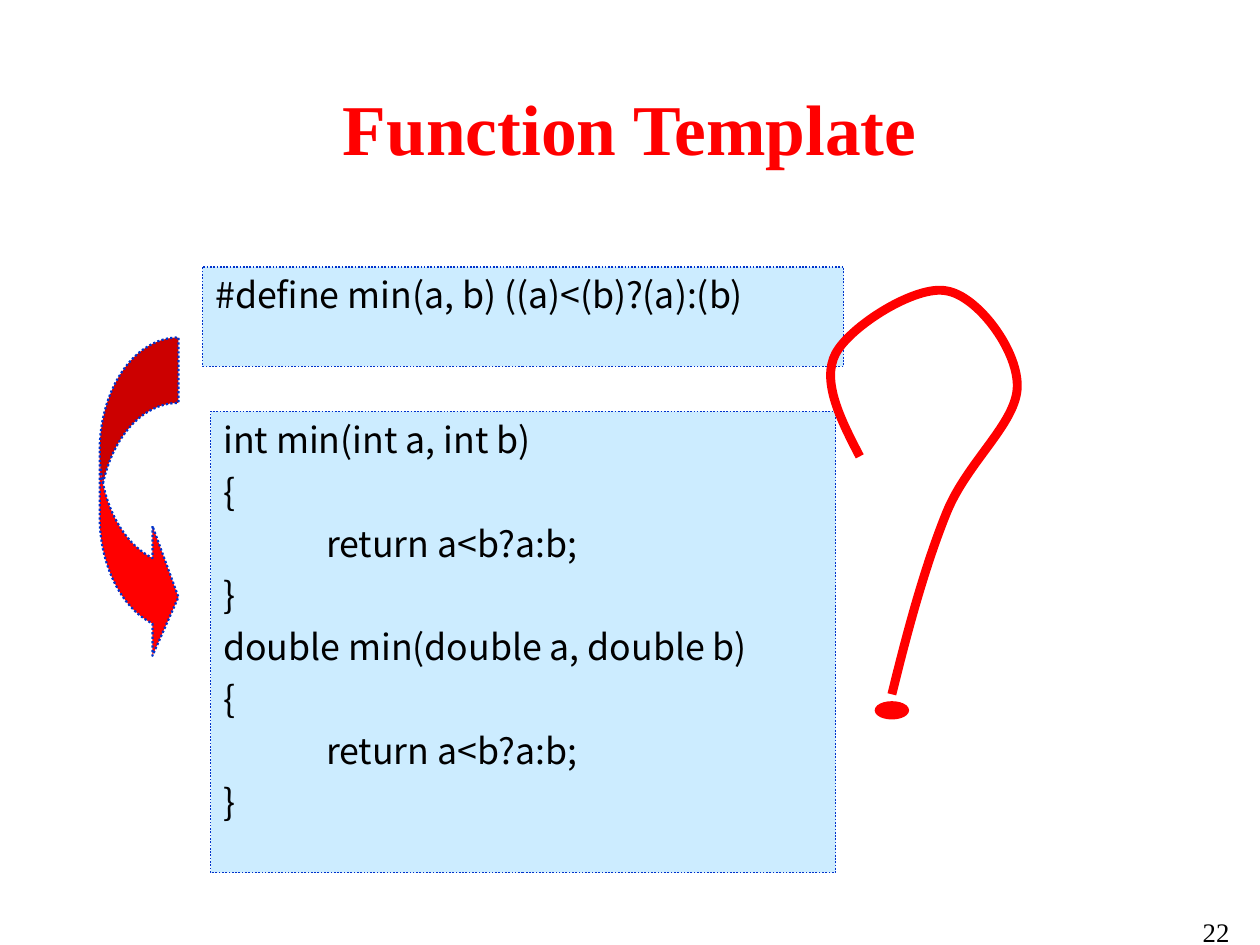
from lxml import etree
from pptx import Presentation
from pptx.dml.color import RGBColor
from pptx.enum.dml import MSO_LINE
from pptx.enum.shapes import MSO_SHAPE
from pptx.enum.text import MSO_ANCHOR, PP_ALIGN
from pptx.oxml.ns import qn
from pptx.util import Inches, Pt

RED = RGBColor(0xFF, 0x00, 0x00)
BLUE = RGBColor(0x00, 0x33, 0xCC)
PALE_BLUE = RGBColor(0xCC, 0xEC, 0xFF)
BLACK = RGBColor(0x00, 0x00, 0x00)

RECTANGLE = MSO_SHAPE.RECTANGLE
OVAL = MSO_SHAPE.OVAL
CURVED_ARROW = MSO_SHAPE.CURVED_RIGHT_ARROW
DOTTED = MSO_LINE.ROUND_DOT
TOP, MIDDLE = MSO_ANCHOR.TOP, MSO_ANCHOR.MIDDLE
LEFT, CENTER, RIGHT = PP_ALIGN.LEFT, PP_ALIGN.CENTER, PP_ALIGN.RIGHT

TITLE_FONT = {"name": "Times New Roman", "size": Pt(32), "bold": True}
NUMBER_FONT = {"name": "Times New Roman", "size": Pt(12)}
CODE_FONT = {"name": "Noto Sans CJK KR", "size": Pt(16)}
CODE_TAB = Inches(0.64)

MACRO_CODE = ["#define min(a, b) ((a)<(b)?(a):(b)"]
FUNCTION_CODE = [
    line
    for kind in ("int", "double")
    for line in (f"{kind} min({kind} a, {kind} b)", "{", "\treturn a<b?a:b;", "}")
]

# Start point, then two control points and an end point for each curve
QUESTION_MARK = [
    (5.35, 2.84),
    (5.23, 2.61), (5.11, 2.37), (5.2, 2.2),
    (5.29, 2.03), (5.7, 1.77), (5.89, 1.81),
    (6.08, 1.84), (6.33, 2.17), (6.33, 2.4),
    (6.33, 2.63), (6.02, 2.87), (5.89, 3.19),
    (5.76, 3.51), (5.65, 3.91), (5.55, 4.32),
]


def set_attributes(target, values):
    for name, value in values.items():
        setattr(target, name, value)


def set_font(paragraph, font, color):
    set_attributes(paragraph.font, font)
    paragraph.font.color.rgb = color


def set_frame(frame, anchor):
    set_attributes(frame, {
        "word_wrap": True, "vertical_anchor": anchor,
        "margin_left": Inches(0.08), "margin_right": Inches(0.08),
        "margin_top": Inches(0.04), "margin_bottom": Inches(0.04),
    })


def add_label(slide, box, text, font, color, alignment, anchor):
    frame = slide.shapes.add_textbox(*map(Inches, box)).text_frame
    set_frame(frame, anchor)
    paragraph = frame.paragraphs[0]
    paragraph.text = text
    paragraph.alignment = alignment
    set_font(paragraph, font, color)


def add_filled_shape(slide, kind, box, fill, line, width):
    shape = slide.shapes.add_shape(kind, *map(Inches, box))
    shape.shadow.inherit = False
    shape.fill.solid()
    shape.fill.fore_color.rgb = fill
    shape.line.color.rgb = line
    shape.line.width = Pt(width)
    return shape


def add_tab_stop(paragraph, position):
    tabs = etree.SubElement(paragraph._p.get_or_add_pPr(), qn("a:tabLst"))
    etree.SubElement(tabs, qn("a:tab"), pos=str(position), algn="l")


def add_code_box(slide, box, lines):
    shape = add_filled_shape(slide, RECTANGLE, box, PALE_BLUE, BLUE, 0.75)
    shape.line.dash_style = DOTTED
    frame = shape.text_frame
    set_frame(frame, TOP)
    for index, line in enumerate(lines):
        paragraph = frame.add_paragraph() if index else frame.paragraphs[0]
        paragraph.text = line
        add_tab_stop(paragraph, CODE_TAB)
        paragraph.alignment = LEFT
        if index:
            paragraph.space_before = Pt(4)
        set_font(paragraph, CODE_FONT, BLACK)


def add_curve(slide, points, color, width):
    start, *others = [(Inches(x), Inches(y)) for x, y in points]
    builder = slide.shapes.build_freeform(*start)
    builder.add_line_segments(others, close=False)
    shape = builder.convert_to_shape()
    # Join each three straight segments into one Bezier curve
    segments = list(shape._element.iter(qn("a:lnTo")))
    for first in range(0, len(segments), 3):
        group = segments[first:first + 3]
        curve = etree.Element(qn("a:cubicBezTo"))
        group[0].addprevious(curve)
        for segment in group:
            curve.append(segment[0])
            segment.getparent().remove(segment)
    shape.shadow.inherit = False
    shape.fill.background()
    shape.line.color.rgb = color
    shape.line.width = Pt(width)


def main():
    presentation = Presentation()
    presentation.slide_width = Inches(7.84)
    presentation.slide_height = Inches(5.88)
    slide = presentation.slides.add_slide(presentation.slide_layouts[6])

    # Page number and title
    add_label(slide, (5.77, 5.66, 1.96, 0.41), "22", NUMBER_FONT, BLACK, RIGHT, TOP)
    add_label(slide, (0.26, 0.48, 7.32, 0.62), "Function Template",
              TITLE_FONT, RED, CENTER, MIDDLE)

    # Macro and the functions that replace it
    add_code_box(slide, (1.26, 1.66, 3.99, 0.62), MACRO_CODE)
    add_code_box(slide, (1.31, 2.56, 3.89, 2.87), FUNCTION_CODE)

    # Arrow from macro to functions
    arrow = add_filled_shape(slide, CURVED_ARROW, (0.62, 2.1, 0.49, 2.02), RED, BLUE, 1)
    arrow.line.dash_style = DOTTED
    for index, value in enumerate((0.83, 1.65, 0.33)):
        arrow.adjustments[index] = value

    # Question mark
    add_curve(slide, QUESTION_MARK, RED, 4)
    add_filled_shape(slide, OVAL, (5.45, 4.37, 0.2, 0.1), RED, RED, 1)

    presentation.save("out.pptx")


if __name__ == "__main__":
    main()
